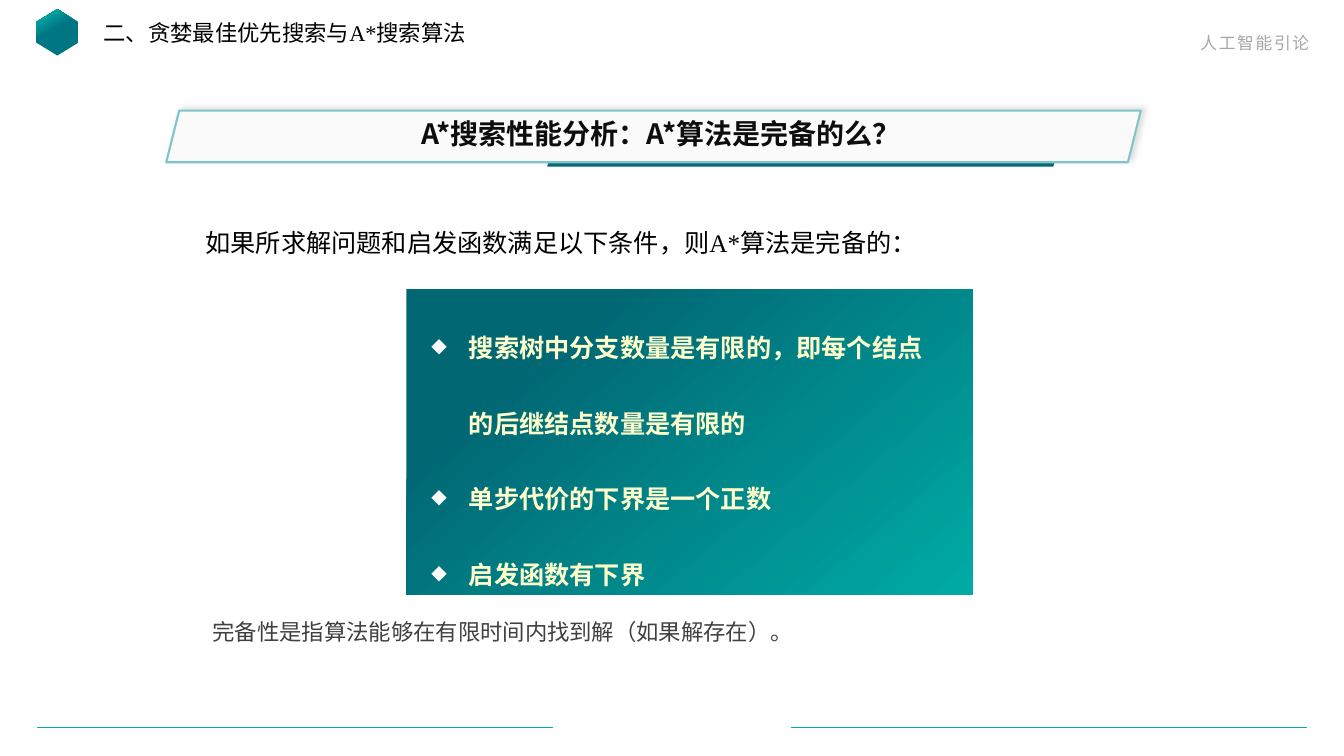
from lxml import etree
from pptx import Presentation
from pptx.dml.color import RGBColor
from pptx.enum.shapes import MSO_CONNECTOR, MSO_SHAPE
from pptx.enum.text import PP_ALIGN
from pptx.oxml.ns import qn
from pptx.util import Cm, Pt

HEXAGON = MSO_SHAPE.HEXAGON
PARALLELOGRAM = MSO_SHAPE.PARALLELOGRAM
RECTANGLE = MSO_SHAPE.RECTANGLE
STRAIGHT = MSO_CONNECTOR.STRAIGHT
LEFT, CENTER, RIGHT, JUSTIFY = PP_ALIGN.LEFT, PP_ALIGN.CENTER, PP_ALIGN.RIGHT, PP_ALIGN.JUSTIFY

SANS, SERIF, INTER = "Noto Sans CJK SC", "Times New Roman", "Inter"
COLORS = {
    "teal": "00ABA5", "deep": "016773", "mid": "007684", "outline": "80C5CA",
    "panel": "FAFAFA", "shadow": "AFABAB", "course": "A6A6A6", "heading": "0D0D0D",
    "black": "000000", "note": "404040", "cream": "FFFFCC", "white": "FFFFFF",
}

presentation = Presentation()
presentation.slide_width, presentation.slide_height = Cm(33.87), Cm(19.05)
slide = presentation.slides.add_slide(presentation.slide_layouts[6])


def add_block(preset, left, top, width, height, fill, angle=0):
    """Add a borderless shape; fill is a colour name or a list of (position, name)."""
    shape = slide.shapes.add_shape(preset, Cm(left), Cm(top), Cm(width), Cm(height))
    shape.shadow.inherit = False
    shape.line.fill.background()
    if isinstance(fill, str):
        shape.fill.solid()
        shape.fill.fore_color.rgb = RGBColor.from_string(COLORS[fill])
    else:
        shape.fill.gradient()
        shape.fill.gradient_angle = 360 - angle
        for stop, (position, name) in zip(shape.fill.gradient_stops, fill):
            stop.position = position
            stop.color.rgb = RGBColor.from_string(COLORS[name])
    return shape


def add_text(left, top, width, height, lines, font, size, color,
             align=LEFT, bold=False, spacing=None, bullet=None):
    """Add a wrapping text box with one paragraph per line."""
    box = slide.shapes.add_textbox(Cm(left), Cm(top), Cm(width), Cm(height))
    frame = box.text_frame
    frame.word_wrap = True
    frame.text = "\n".join(lines)
    for paragraph in frame.paragraphs:
        paragraph.alignment = align
        if spacing:
            paragraph.line_spacing = spacing
        if bullet:
            properties = paragraph._p.get_or_add_pPr()
            properties.set("marL", str(Cm(0.95)))
            properties.set("indent", str(-Cm(0.95)))
            bullet_color = etree.SubElement(properties, qn("a:buClr"))
            etree.SubElement(bullet_color, qn("a:srgbClr"), val=COLORS["white"])
            etree.SubElement(properties, qn("a:buSzPct"), val="80000")
            etree.SubElement(properties, qn("a:buChar"), char=bullet)
        paragraph.font.name = font
        paragraph.font.size = Pt(size)
        paragraph.font.bold = bold
        paragraph.font.color.rgb = RGBColor.from_string(COLORS[color])
    return box


# Header: course name, plain emblem, section title
course = add_text(24.31, 0.71, 8.94, 0.76, ["人工智能引论"], SANS, 12, "course", RIGHT)
course.text_frame.paragraphs[0].runs[0].font._element.set("spc", "120")
emblem = add_block(HEXAGON, 0.86, 0.28, 1.17, 1.07, [(0.57, "mid"), (0.87, "teal")], 150)
emblem.adjustments[0] = 0.305
emblem.rotation = 90
add_text(2.36, 0.36, 9.75, 0.94, ["二、贪婪最佳优先搜索与A*搜索算法"], SERIF, 16, "black")

# Footer rules
for start in (0.94, 19.94):
    rule = slide.shapes.add_connector(STRAIGHT, Cm(start), Cm(18.34), Cm(start + 13), Cm(18.34))
    rule.line.color.rgb = RGBColor.from_string(COLORS["teal"])
    rule.line.width = Pt(0.5)
    etree.SubElement(rule._element.spPr, qn("a:effectLst"))

# Question banner
add_block(PARALLELOGRAM, 13.79, 2.9, 13.08, 1.3, "deep")
banner = add_block(PARALLELOGRAM, 4.19, 2.79, 24.56, 1.3, "panel")
banner.line.color.rgb = RGBColor.from_string(COLORS["outline"])
banner.line.width = Pt(1.5)
effects = banner._element.spPr.find(qn("a:effectLst"))
shadow = etree.SubElement(effects, qn("a:outerShdw"), blurRad=str(Pt(4)), dist=str(Pt(3)),
                          dir=str(315 * 60000), algn="bl", rotWithShape="0")
shadow_color = etree.SubElement(shadow, qn("a:srgbClr"), val=COLORS["shadow"])
etree.SubElement(shadow_color, qn("a:alpha"), val="40000")
add_text(6.05, 2.82, 21.21, 1.12, ["A*搜索性能分析：A*算法是完备的么？"],
         SANS, 20, "heading", CENTER, bold=True)

# Lead-in sentence
lead = add_text(4.19, 4.83, 27.99, 1.57, ["如果所求解问题和启发函数满足以下条件，则A*算法是完备的："],
                SERIF, 18, "black", JUSTIFY, spacing=2)
lead.text_frame.paragraphs[0]._p.get_or_add_pPr().set("indent", str(Cm(0.74)))

# Conditions panel
add_block(RECTANGLE, 10.24, 7.29, 14.27, 7.7, [(0.22, "deep"), (1, "teal")], 50)
add_text(10.62, 7.11, 13.16, 7.62,
         ["搜索树中分支数量是有限的，即每个结点的后继结点数量是有限的",
          "单步代价的下界是一个正数",
          "启发函数有下界"],
         SANS, 18, "cream", bold=True, spacing=2.5, bullet="◆")

# Closing note
add_text(5.11, 15.44, 16.41, 0.94, ["完备性是指算法能够在有限时间内找到解（如果解存在）。"],
         INTER, 16, "note")

presentation.save("out.pptx")
